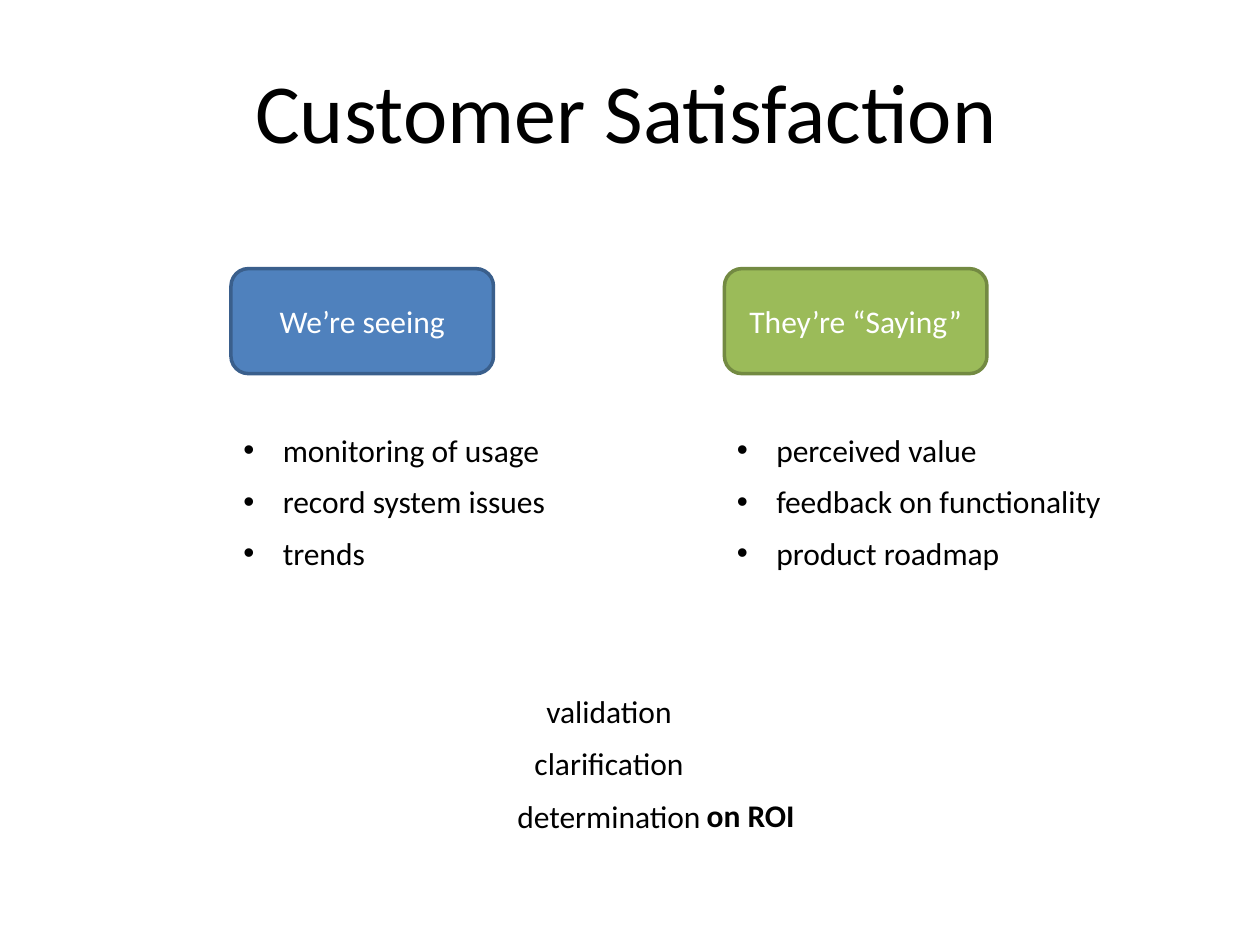
"""Builds the Customer Satisfaction slide."""
import lxml.etree
import pptx
import pptx.dml.color
import pptx.enum.shapes
import pptx.enum.text
import pptx.oxml.ns
import pptx.util

Pt = pptx.util.Pt
RGBColor = pptx.dml.color.RGBColor
Align = pptx.enum.text.PP_ALIGN
Anchor = pptx.enum.text.MSO_ANCHOR

BLACK = RGBColor(0x00, 0x00, 0x00)
WHITE = RGBColor(0xFF, 0xFF, 0xFF)
BLUE = RGBColor(0x4F, 0x81, 0xBD)
DARK_BLUE = RGBColor(0x3A, 0x5F, 0x8C)
GREEN = RGBColor(0x9B, 0xBB, 0x59)
DARK_GREEN = RGBColor(0x73, 0x8A, 0x42)

COLUMNS = [
    (132, "We’re seeing", BLUE, DARK_BLUE, 210,
     ["monitoring of usage", "record system issues", "trends"]),
    (414, "They’re “Saying”", GREEN, DARK_GREEN, 264,
     ["perceived value", "feedback on functionality", "product roadmap"]),
]
OUTCOMES = ["validation", "clarification", "determination"]


class SlideBuilder:
    def __init__(self, presentation, font="Calibri", size=18):
        self.slide = presentation.slides.add_slide(presentation.slide_layouts[5])
        self.font = font
        self.size = size

    def add_text(self, shape, text, color=BLACK, size=None, bold=False,
                 align=Align.CENTER, anchor=Anchor.MIDDLE, bullet=False):
        frame = shape.text_frame
        frame.word_wrap = True
        frame.auto_size = pptx.enum.text.MSO_AUTO_SIZE.NONE
        frame.vertical_anchor = anchor
        paragraph = frame.paragraphs[0]
        paragraph.alignment = align
        if bullet:
            self.add_bullet(paragraph)
        run = paragraph.add_run()
        run.text = text
        run.font.name = self.font
        run.font.size = Pt(size or self.size)
        run.font.bold = bold
        run.font.color.rgb = color

    def add_bullet(self, paragraph, indent=22.5):
        properties = paragraph._p.get_or_add_pPr()
        properties.set("marL", str(Pt(indent)))
        properties.set("indent", str(-Pt(indent)))
        for tag, name, value in (("a:buFont", "typeface", "Arial"),
                                 ("a:buChar", "char", "•")):
            element = lxml.etree.SubElement(properties, pptx.oxml.ns.qn(tag))
            element.set(name, value)

    def title(self, text, left, top, width, height, size):
        shape = self.slide.shapes.title
        shape.left, shape.top = Pt(left), Pt(top)
        shape.width, shape.height = Pt(width), Pt(height)
        self.add_text(shape, text, size=size)

    def box(self, text, left, top, width, height, fill, line):
        shape = self.slide.shapes.add_shape(
            pptx.enum.shapes.MSO_SHAPE.ROUNDED_RECTANGLE,
            Pt(left), Pt(top), Pt(width), Pt(height))
        shape.shadow.inherit = False
        shape.fill.solid()
        shape.fill.fore_color.rgb = fill
        shape.line.color.rgb = line
        shape.line.width = Pt(2)
        self.add_text(shape, text, color=WHITE)

    def label(self, text, left, top, width, **style):
        shape = self.slide.shapes.add_textbox(Pt(left), Pt(top), Pt(width), Pt(29))
        self.add_text(shape, text, **style)


def main():
    presentation = pptx.Presentation()
    presentation.slide_width, presentation.slide_height = Pt(720), Pt(540)
    builder = SlideBuilder(presentation)
    builder.title("Customer Satisfaction", 36.7, 30.2, 642, 65.5, 48)
    for left, heading, fill, line, width, items in COLUMNS:
        builder.box(heading, left, 153.5, 150, 60, fill, line)
        for row, item in enumerate(items):
            builder.label(item, left, 242.5 + 29.5 * row, width,
                          align=Align.LEFT, anchor=Anchor.TOP, bullet=True)
    for row, outcome in enumerate(OUTCOMES):
        builder.label(outcome, 132, 391.7 + 30 * row, 432)
    builder.label("on ROI", 396, 451, 66, bold=True)
    presentation.save("out.pptx")


if __name__ == "__main__":
    main()
